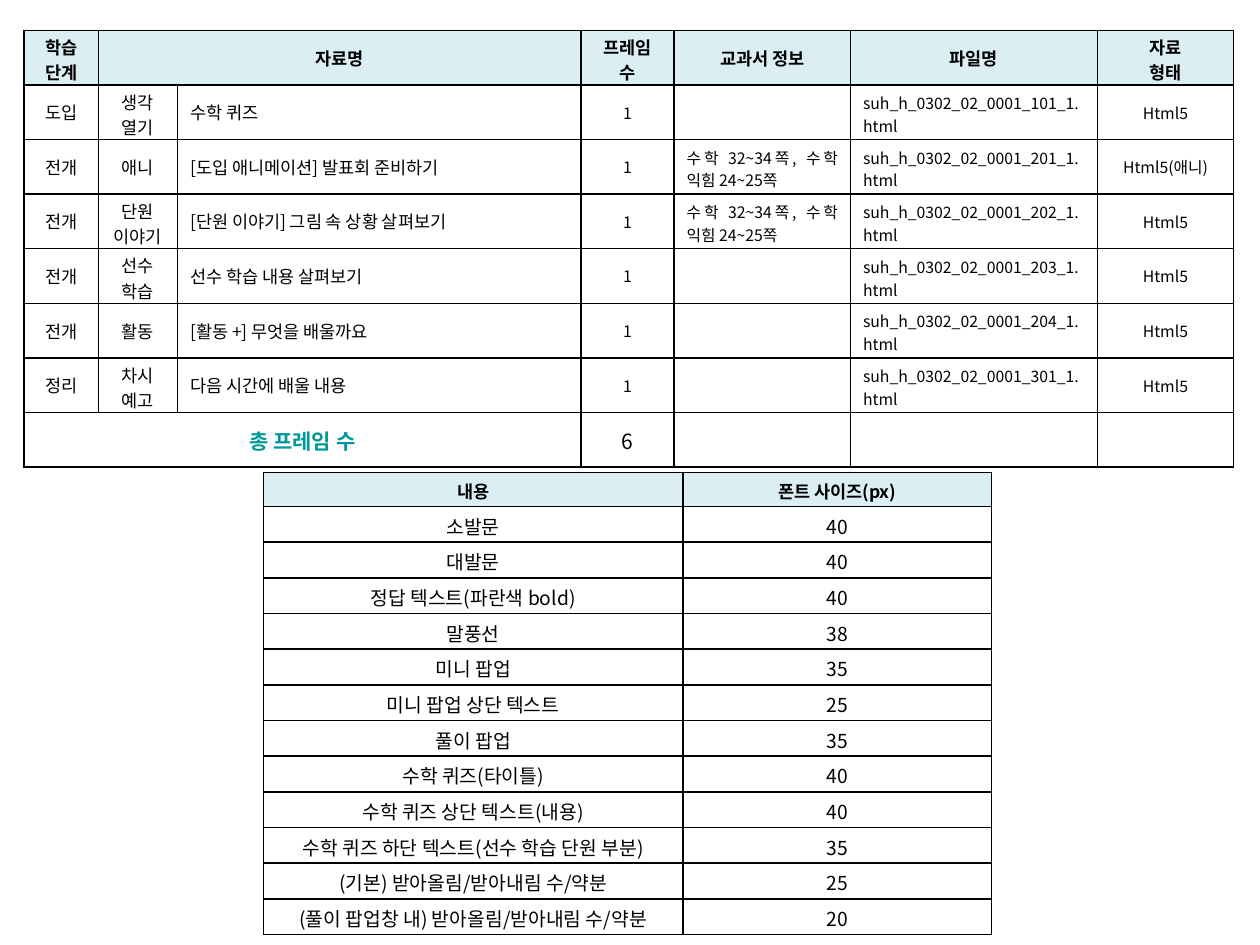
import pptx
import pptx.dml.color
import pptx.enum.text
import pptx.oxml
import pptx.oxml.ns
import pptx.util
from pptx.util import Inches

FONT = "Noto Sans CJK KR"
COLORS = {"text": "000000", "border": "000000", "header": "DBEEF4",
          "total": "009999", "plain": "FFFFFF"}
ALIGN = pptx.enum.text.PP_ALIGN
CENTER, LEFT, JUSTIFY = ALIGN.CENTER, ALIGN.LEFT, ALIGN.JUSTIFY
# top and bottom cell margins in inches
ONE_LINE, TWO_LINES, COMPACT = (0.01, 0.01), (0.03, 0), (0.04, 0.02)

MATERIAL_HEADER = ["학습 단계", "자료명", "", "프레임 수", "교과서 정보", "파일명", "자료\n형태"]
PAGES = "수학 32~34쪽, 수학 익힘 24~25쪽"
# stage, activity, material name, textbook pages, file number, type
MATERIALS = [
    ("도입", "생각\n열기", "수학 퀴즈", "", 101, "Html5"),
    ("전개", "애니", "[도입 애니메이션] 발표회 준비하기", PAGES, 201, "Html5(애니)"),
    ("전개", "단원\n이야기", "[단원 이야기] 그림 속 상황 살펴보기", PAGES, 202, "Html5"),
    ("전개", "선수\v학습", "선수 학습 내용 살펴보기", "", 203, "Html5"),
    ("전개", "활동", "[활동 +] 무엇을 배울까요", "", 204, "Html5"),
    ("정리", "차시 예고", "다음 시간에 배울 내용", "", 301, "Html5"),
]
WRAPPED_LABELS = {"학습 단계", "프레임 수", "차시 예고"}
MATERIAL_WIDTHS = [0.59, 0.63, 3.2, 0.74, 1.4, 1.96, 1.08]
MATERIAL_SIZES = [10, 10, 10, 9, 9, 9, 9]
MATERIAL_ALIGNS = [CENTER, CENTER, LEFT, CENTER, JUSTIFY, JUSTIFY, CENTER]

FONT_SIZES = [
    ("소발문", 40),
    ("대발문", 40),
    ("정답 텍스트(파란색 bold)", 40),
    ("말풍선", 38),
    ("미니 팝업", 35),
    ("미니 팝업 상단 텍스트", 25),
    ("풀이 팝업", 35),
    ("수학 퀴즈(타이틀)", 40),
    ("수학 퀴즈 상단 텍스트(내용)", 40),
    ("수학 퀴즈 하단 텍스트(선수 학습 단원 부분)", 35),
    ("(기본) 받아올림/받아내림 수/약분", 25),
    ("(풀이 팝업창 내) 받아올림/받아내림 수/약분", 20),
]


def rgb(name):
    return pptx.dml.color.RGBColor.from_string(COLORS[name])


def add_borders(cell):
    """Draw a 1 pt line on all four sides; call before setting the fill."""
    properties = cell._tc.get_or_add_tcPr()
    for side in ("lnL", "lnR", "lnT", "lnB"):
        properties.append(pptx.oxml.parse_xml(
            f'<a:{side} {pptx.oxml.ns.nsdecls("a")} w="12700"><a:solidFill>'
            f'<a:srgbClr val="{COLORS["border"]}"/></a:solidFill></a:{side}>'))


def set_font(paragraph, size, bold, color):
    """Set the paragraph's font for both Latin and Korean letters."""
    font = paragraph.font
    font.name, font.size, font.bold = FONT, pptx.util.Pt(size), bold
    font.color.rgb = rgb(color)
    font._rPr.append(pptx.oxml.parse_xml(
        f'<a:ea {pptx.oxml.ns.nsdecls("a")} typeface="{FONT}"/>'))


def fill_cell(cell, text, size, align=CENTER, bold=False, color="text",
              fill="plain", margins=ONE_LINE):
    add_borders(cell)
    cell.fill.solid()
    cell.fill.fore_color.rgb = rgb(fill)
    cell.vertical_anchor = pptx.enum.text.MSO_ANCHOR.MIDDLE
    cell.margin_top, cell.margin_bottom = map(Inches, margins)
    cell.text = text
    for paragraph in cell.text_frame.paragraphs:
        paragraph.alignment = align
        set_font(paragraph, size, bold, color)


def material_margins(text, align=CENTER):
    broken = "\n" in text or "\v" in text or text in WRAPPED_LABELS
    return TWO_LINES if broken or align == JUSTIFY else ONE_LINE


def add_grid(slide, left, top, widths, heights):
    table = slide.shapes.add_table(
        len(heights), len(widths), Inches(left), Inches(top),
        Inches(sum(widths)), Inches(sum(heights))).table
    table.first_row = table.horz_banding = False
    for column, width in zip(table.columns, widths):
        column.width = Inches(width)
    for row, height in zip(table.rows, heights):
        row.height = Inches(height)
    return table


def add_material_table(slide):
    total_row = len(MATERIALS) + 1
    table = add_grid(slide, 0.19, 0.24, MATERIAL_WIDTHS, [3.47 / 8] * (total_row + 1))
    for col, label in enumerate(MATERIAL_HEADER):
        fill_cell(table.cell(0, col), label, 10, bold=True, fill="header",
                  margins=material_margins(label))
    for row, (stage, activity, name, pages, number, kind) in enumerate(MATERIALS, 1):
        file_name = f"suh_h_0302_02_0001_{number}_1.html"
        values = [stage, activity, name, "1", pages, file_name, kind]
        for col, (value, align) in enumerate(zip(values, MATERIAL_ALIGNS)):
            fill_cell(table.cell(row, col), value, MATERIAL_SIZES[col], align,
                      margins=material_margins(value, align))
    totals = ["총 프레임 수", "", "", str(len(MATERIALS)), "", "", ""]
    for col, value in enumerate(totals):
        is_label = col == 0
        fill_cell(table.cell(total_row, col), value, 12, bold=is_label,
                  color="total" if is_label else "text")
    table.cell(0, 1).merge(table.cell(0, 2))
    table.cell(total_row, 0).merge(table.cell(total_row, 2))


def add_font_size_table(slide):
    header_height = 0.27
    row_height = (3.67 - header_height) / len(FONT_SIZES)
    heights = [header_height] + [row_height] * len(FONT_SIZES)
    table = add_grid(slide, 2.09, 3.75, [3.33, 2.45], heights)
    for col, label in enumerate(["내용", "폰트 사이즈(px)"]):
        fill_cell(table.cell(0, col), label, 10, bold=True, fill="header", margins=COMPACT)
    for row, values in enumerate(FONT_SIZES, 1):
        for col, value in enumerate(values):
            fill_cell(table.cell(row, col), str(value), 11, margins=COMPACT)


def main():
    deck = pptx.Presentation()
    deck.slide_width, deck.slide_height = Inches(10), Inches(7.5)
    slide = deck.slides.add_slide(deck.slide_layouts[6])
    add_material_table(slide)
    add_font_size_table(slide)
    deck.save("out.pptx")


if __name__ == "__main__":
    main()
